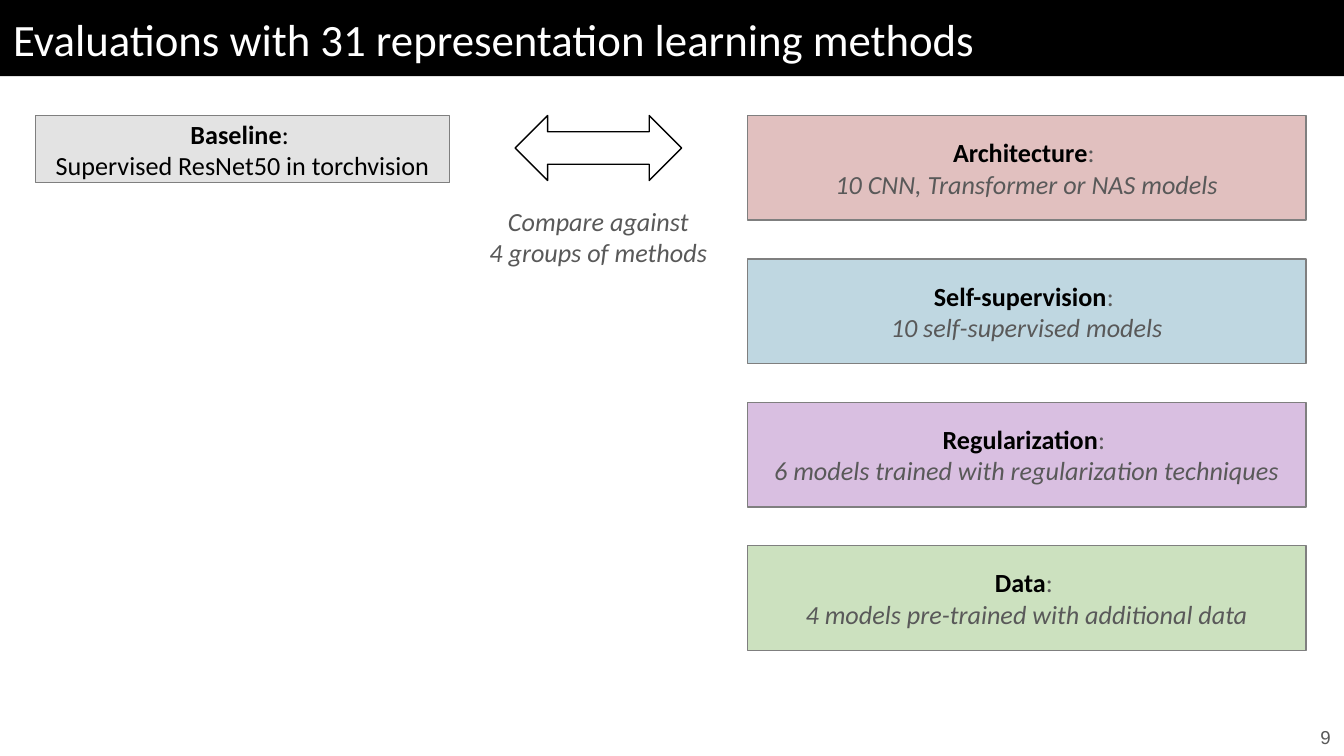
from dataclasses import dataclass

from pptx import Presentation
from pptx.dml.color import RGBColor
from pptx.enum.shapes import MSO_SHAPE as Shape
from pptx.enum.text import MSO_ANCHOR as Anchor, PP_ALIGN as Align
from pptx.util import Pt


@dataclass(frozen=True)
class Theme:
    font: str = "Calibri"
    number_font: str = "Arial"
    title_size: float = 24
    body_size: float = 14
    number_size: float = 10
    inset: float = 7.2
    line_width: float = 0.75
    black: str = "000000"
    white: str = "FFFFFF"
    muted: str = "595959"
    border: str = "7F7F7F"
    baseline: str = "E3E3E3"
    architecture: str = "E1C0BF"
    self_supervision: str = "BFD7E1"
    regularization: str = "D9BFE1"
    data: str = "CCE1BF"


class SlideBuilder:
    def __init__(self, slide, theme):
        self.slide = slide
        self.theme = theme

    def shape(self, kind, box, fill, line=None):
        shape = self.slide.shapes.add_shape(kind, *map(Pt, box))
        shape.shadow.inherit = False
        shape.fill.solid()
        shape.fill.fore_color.rgb = RGBColor.from_string(fill)
        if line:
            shape.line.color.rgb = RGBColor.from_string(line)
            shape.line.width = Pt(self.theme.line_width)
        else:
            shape.line.fill.background()
        return shape

    def set_text(self, shape, lines, size, color, align, italic=False, font=None):
        """Fill the shape with one paragraph per line."""
        frame = shape.text_frame
        frame.word_wrap = True
        frame.vertical_anchor = Anchor.MIDDLE
        frame.margin_left = frame.margin_right = Pt(self.theme.inset)
        frame.margin_top = frame.margin_bottom = Pt(self.theme.inset)
        frame.text = "\n".join(lines)
        for paragraph in frame.paragraphs:
            paragraph.alignment = align
            paragraph.font.name = font or self.theme.font
            paragraph.font.size = Pt(size)
            paragraph.font.italic = italic
            paragraph.font.color.rgb = RGBColor.from_string(color)
        return frame

    def title(self, box, text):
        bar = self.shape(Shape.RECTANGLE, box, self.theme.black)
        self.set_text(bar, [text], self.theme.title_size, self.theme.white, Align.LEFT)

    def text(self, box, lines, size, align, **style):
        text_box = self.slide.shapes.add_textbox(*map(Pt, box))
        self.set_text(text_box, lines, size, self.theme.muted, align, **style)

    def card(self, box, fill, heading, detail, color, italic):
        """Bordered box with a bold heading above a line of detail."""
        theme = self.theme
        card = self.shape(Shape.RECTANGLE, box, fill, theme.border)
        frame = self.set_text(card, ["", detail], theme.body_size, color, Align.CENTER)
        first, second = frame.paragraphs
        name = first.add_run()
        name.text = heading
        name.font.bold = True
        name.font.color.rgb = RGBColor.from_string(theme.black)
        first.add_run().text = ": "
        second.font.italic = italic

    def double_arrow(self, box):
        arrow = self.shape(Shape.UP_DOWN_ARROW, box, self.theme.white, self.theme.black)
        arrow.rotation = 90


def main():
    theme = Theme()
    presentation = Presentation()
    presentation.slide_width, presentation.slide_height = Pt(720), Pt(405)
    slide = presentation.slides.add_slide(presentation.slide_layouts[6])
    builder = SlideBuilder(slide, theme)

    # Title bar
    builder.title((0, 0, 720, 40.8), "Evaluations with 31 representation learning methods")

    # Baseline
    top = 62
    builder.card((19, top, 222, 36), theme.baseline, "Baseline",
                 "Supervised ResNet50 in torchvision", theme.black, False)

    # Groups of methods
    groups = [
        (theme.architecture, "Architecture", "10 CNN, Transformer or NAS models"),
        (theme.self_supervision, "Self-supervision", "10 self-supervised models"),
        (theme.regularization, "Regularization",
         "6 models trained with regularization techniques"),
        (theme.data, "Data", "4 models pre-trained with additional data"),
    ]
    pitch = 76.8
    for index, (fill, heading, detail) in enumerate(groups):
        builder.card((400.4, top + index * pitch, 299.4, 56), fill,
                     heading, detail, theme.muted, True)

    # Comparison arrow and its caption
    builder.double_arrow((303.2, 34.7, 34.8, 89.2))
    builder.text((252.6, 111, 136, 31.6), ["Compare against", "4 groups of methods"],
                 theme.body_size, Align.CENTER, italic=True)

    # Slide number
    builder.text((676.8, 384, 43.2, 21.6), ["9"], theme.number_size, Align.RIGHT,
                 font=theme.number_font)

    presentation.save("out.pptx")


if __name__ == "__main__":
    main()
